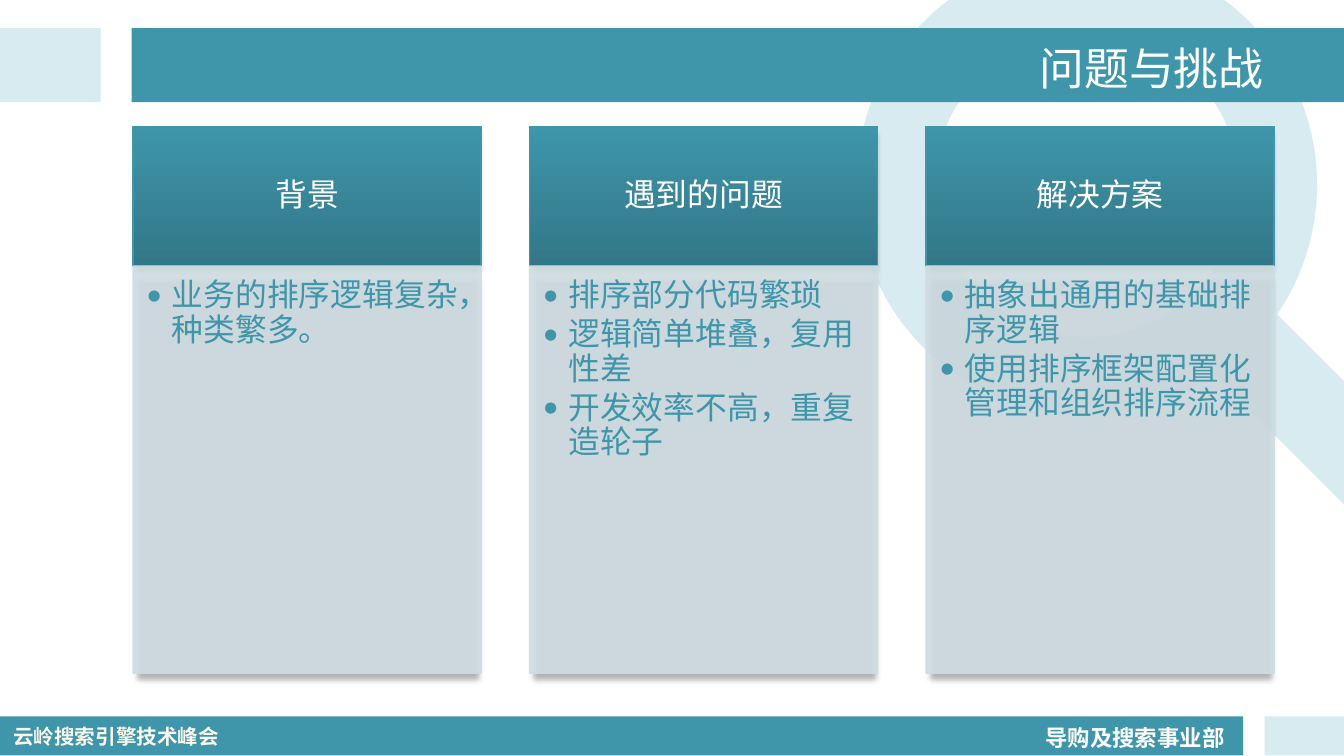
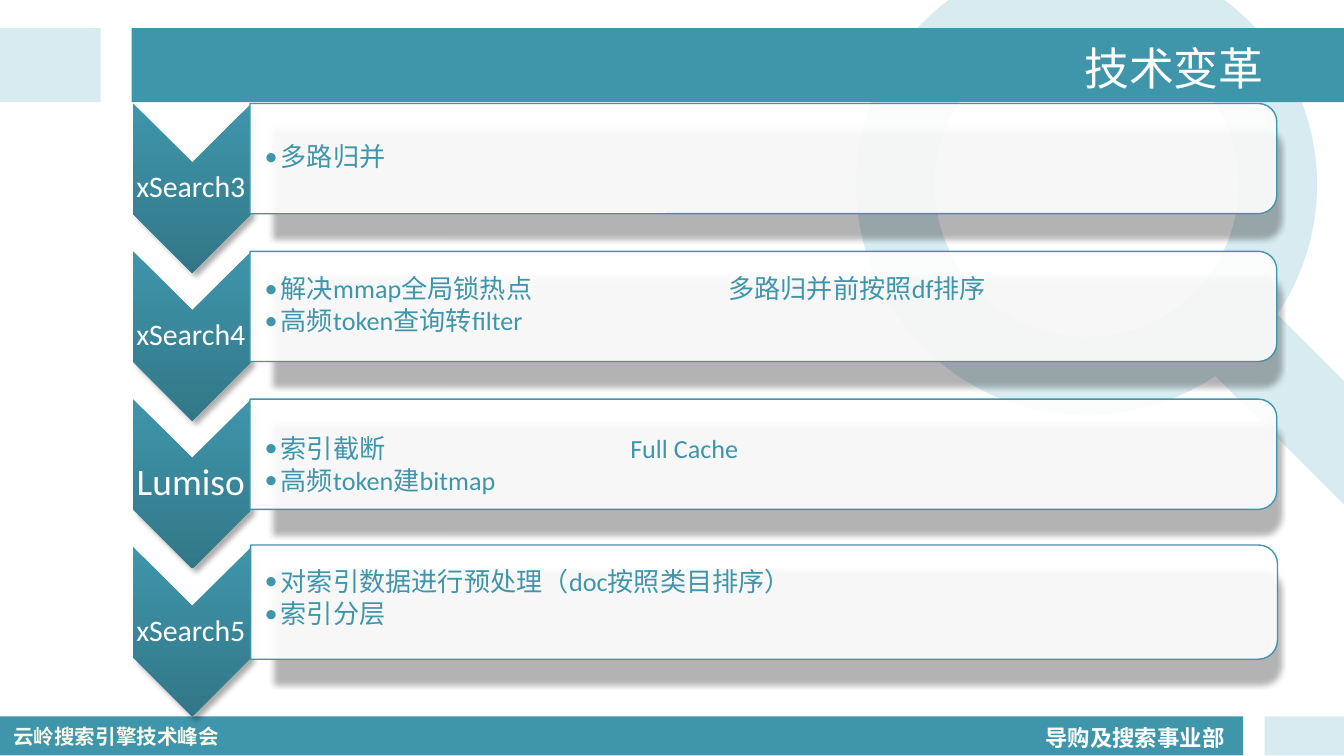
from dataclasses import dataclass

from pptx import Presentation
from pptx.dml.color import RGBColor
from pptx.enum.shapes import MSO_SHAPE as SHAPE
from pptx.enum.text import MSO_ANCHOR as ANCHOR, PP_ALIGN as ALIGN
from pptx.oxml import parse_xml
from pptx.oxml.ns import nsdecls, qn
from pptx.util import Pt

PX = 9144  # 100 px to the inch


@dataclass(frozen=True)
class Theme:
    teal: str = "3F95AA"
    deep: str = "327788"
    pale: str = "D7EBF0"
    panel: str = "CFDDE2"
    white: str = "FFFFFF"
    cream: str = "F9F7EA"
    font: str = "Calibri"
    cjk_font: str = "Noto Sans CJK SC"
    title: int = 24
    card: int = 17
    version: int = 16
    version_big: int = 20
    detail: int = 14
    footer: int = 12
    event: int = 11


T = Theme()


@dataclass(frozen=True)
class Stage:
    name: str
    lines: tuple
    size: int = T.version
    height: int = 82
    pad_top: int = 1
    pad_bottom: int = 1
    tab: int = 0


CARDS = [
    ("背景", ["业务的排序逻辑复杂，种类繁多。"]),
    ("遇到的问题", ["排序部分代码繁琐", "逻辑简单堆叠，复用性差",
               "开发效率不高，重复造轮子"]),
    ("解决方案", ["抽象出通用的基础排序逻辑", "使用排序框架配置化管理和组织排序流程"]),
]

STAGES = [
    Stage("xSearch3", ("多路归并",)),
    Stage("xSearch4", ("解决mmap全局锁热点\t多路归并前按照df排序",
                       "高频token查询转filter"), tab=345),
    Stage("Lumiso", ("索引截断\tFull Cache", "高频token建bitmap"),
          size=T.version_big, pad_top=18, tab=272),
    Stage("xSearch5", ("对索引数据进行预处理（doc按照类目排序）", "索引分层"),
          height=85, pad_bottom=6),
]


def px(*values):
    return [v * PX for v in values]


def a_xml(tag, attrs, inner=""):
    """Return a DrawingML element."""
    return parse_xml(f"<a:{tag} {nsdecls('a')} {attrs}>{inner}</a:{tag}>")


def add_bullet(p, indent, tab):
    pPr = p._p.get_or_add_pPr()
    pPr.set("marL", str(indent * PX))
    pPr.set("indent", str(-indent * PX))
    pPr.append(a_xml("buFont", f'typeface="{T.font}"'))
    pPr.append(a_xml("buChar", 'char="•"'))
    if tab:
        pPr.append(a_xml("tabLst", "", f'<a:tab pos="{tab * PX}" algn="l"/>'))


def write(sp, *lines, size, color=T.white, font=T.font, bold=False,
          align=ALIGN.LEFT, anchor=ANCHOR.TOP, insets=(10, 5, 10, 5),
          wrap=True, spacing=None, after=0, indent=0, tab=0):
    """Fill sp with one paragraph a line; after is a share of the type size."""
    tf = sp.text_frame
    tf.word_wrap = wrap
    tf.vertical_anchor = anchor
    (tf.margin_left, tf.margin_top,
     tf.margin_right, tf.margin_bottom) = px(*insets)
    for i, line in enumerate(lines):
        p = tf.add_paragraph() if i else tf.paragraphs[0]
        p.alignment = align
        if spacing:
            p.line_spacing = spacing
        p.space_after = Pt(size * after)
        if indent:
            add_bullet(p, indent, tab)
        r = p.add_run()
        r.text = line
        r.font.size = Pt(size)
        r.font.name = font
        r.font.bold = bold
        r.font.color.rgb = RGBColor.from_string(color)


def add_text(slide, box, *lines, **fmt):
    write(slide.shapes.add_textbox(*px(*box)), *lines, **fmt)


def add_shadow(sp):
    sp._element.spPr.find(qn("a:effectLst")).append(a_xml(
        "outerShdw",
        'blurRad="38100" dist="38100" dir="4800000" '
        'sx="98000" sy="98000" rotWithShape="0"',
        '<a:srgbClr val="000000"><a:alpha val="32000"/></a:srgbClr>'))


def fill_gradient(sp):
    """Run from teal at the top to deep teal, whatever the rotation."""
    sp.fill.gradient()
    sp.fill.gradient_angle = 270
    for stop, color in zip(sp.fill.gradient_stops, (T.teal, T.deep)):
        stop.color.rgb = RGBColor.from_string(color)
    sp._element.spPr.find(qn("a:gradFill")).set("rotWithShape", "0")


def add_shape(slide, kind, box, fill=None, line=None, alpha=100,
              rotation=0, adjust=None, shadow=False):
    """Add a preset shape; without a fill colour it gets the gradient."""
    sp = slide.shapes.add_shape(kind, *px(*box))
    sp.rotation = rotation
    if adjust is not None:
        sp.adjustments[0] = adjust
    if fill:
        sp.fill.solid()
        sp.fill.fore_color.rgb = RGBColor.from_string(fill)
    else:
        fill_gradient(sp)
    if line:
        sp.line.color.rgb = RGBColor.from_string(line)
        sp.line.width = Pt(0.75)
    else:
        sp.line.fill.background()
    if alpha < 100:
        for clr in sp._element.spPr.iter(qn("a:srgbClr")):
            if clr.get("val") == fill:
                clr.append(a_xml("alpha", f'val="{alpha * 1000}"'))
    sp.shadow.inherit = False
    if shadow:
        add_shadow(sp)
    return sp


def add_turned(slide, kind, cx, cy, width, height, **fmt):
    """Add a shape turned to the right that covers width by height at cx, cy."""
    box = (cx - height // 2, cy - width // 2, height, width)
    return add_shape(slide, kind, box, rotation=90, shadow=True, **fmt)


def add_frame(prs, title):
    """Add a slide with the magnifier, bands, footers and title."""
    slide = prs.slides.add_slide(prs.slide_layouts[6])
    add_shape(slide, SHAPE.DONUT, (637, -34, 343, 343), T.pale, adjust=0.17)
    add_shape(slide, SHAPE.ROUNDED_RECTANGLE, (866, 270, 214, 65), T.pale,
              rotation=45, adjust=0.5)
    for box, color in [((0, 533, 925, 29), T.teal), ((941, 533, 59, 29), T.pale),
                       ((0, 21, 75, 55), T.pale), ((98, 21, 902, 55), T.teal)]:
        add_shape(slide, SHAPE.RECTANGLE, box, color)
    add_text(slide, (768, 530, 155, 33), "导购及搜索事业部",
             size=T.footer, bold=True, wrap=False, spacing=1.2)
    add_text(slide, (0, 534, 177, 29), "云岭搜索引擎技术峰会",
             size=T.event, bold=True, font=T.cjk_font, color=T.cream)
    add_text(slide, (106, 23, 844, 54), title, size=T.title,
             align=ALIGN.RIGHT, anchor=ANCHOR.MIDDLE)
    return slide


def add_card(slide, left, heading, points):
    head = add_shape(slide, SHAPE.RECTANGLE, (left, 94, 259, 104),
                     line=T.teal, shadow=True)
    write(head, heading, size=T.card, align=ALIGN.CENTER, anchor=ANCHOR.MIDDLE,
          insets=(13, 8, 13, 8), spacing=0.9)
    body = add_shape(slide, SHAPE.RECTANGLE, (left, 198, 259, 303), T.panel,
                     line=T.panel, alpha=90, shadow=True)
    write(body, *points, size=T.card, color=T.teal, insets=(10, 10, 13, 15),
          spacing=0.9, after=0.15, indent=19)


def add_stage(slide, cy, stage):
    """Add a chevron with the version name and its bar, centred on cy."""
    add_turned(slide, SHAPE.CHEVRON, 143, cy + 22, 88, 126)
    add_text(slide, (98, cy + 3, 88, 38), stage.name, size=stage.size,
             align=ALIGN.CENTER, anchor=ANCHOR.MIDDLE, insets=(1, 1, 1, 1),
             spacing=0.9)
    add_turned(slide, SHAPE.ROUND_2_SAME_RECTANGLE, 568, cy, 764, stage.height,
               fill=T.white, line=T.teal, alpha=90)
    add_text(slide, (186, cy - 37, 760, 74), *stage.lines, size=T.detail,
             color=T.teal, anchor=ANCHOR.MIDDLE,
             insets=(11, stage.pad_top, 1, stage.pad_bottom),
             spacing=0.9, after=0.15, indent=12, tab=stage.tab)


def main():
    prs = Presentation()
    prs.slide_width = 1000 * PX
    prs.slide_height = prs.slide_width * 9 // 16

    slide = add_frame(prs, "问题与挑战")
    for i, (heading, points) in enumerate(CARDS):
        add_card(slide, 99 + 295 * i, heading, points)

    slide = add_frame(prs, "技术变革")
    for i, stage in enumerate(STAGES):
        add_stage(slide, 118 + 110 * i, stage)

    prs.save("out.pptx")


if __name__ == "__main__":
    main()
